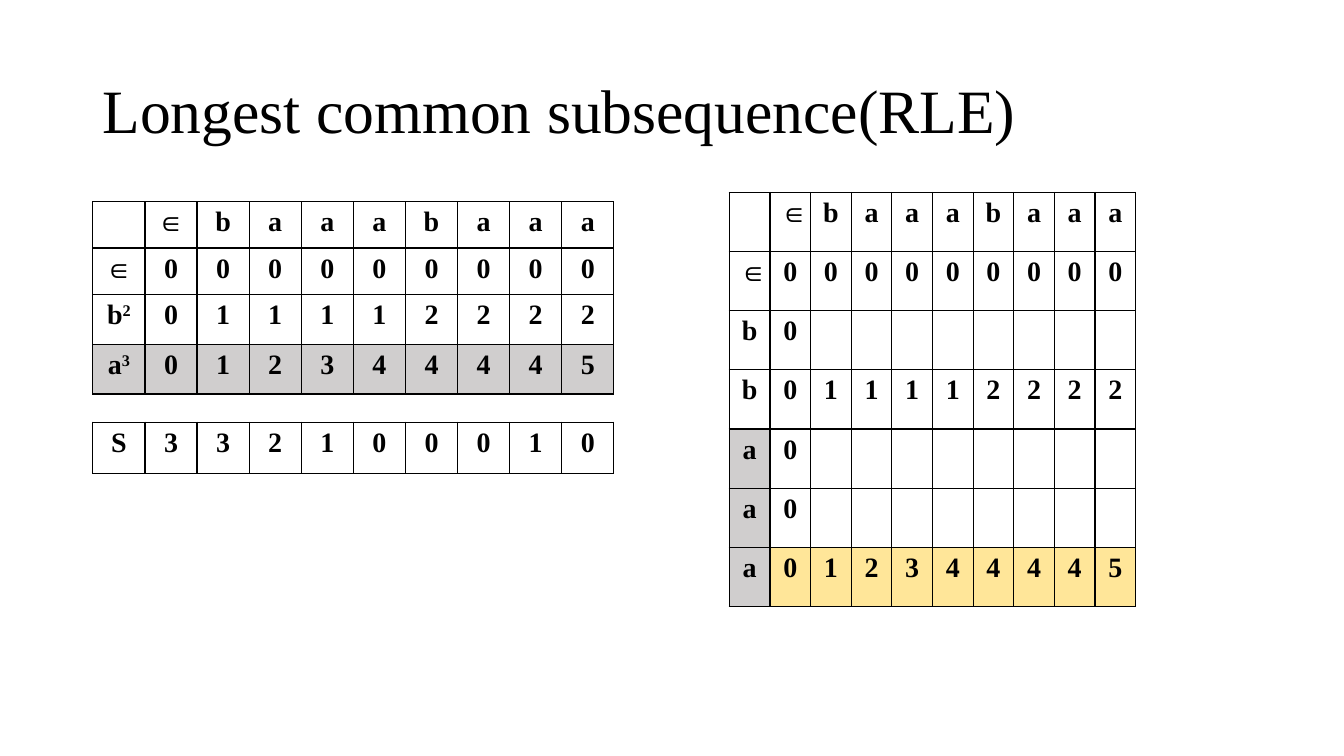
import pptx
import pptx.util
import pptx.dml.color
import pptx.enum.text
import pptx.oxml
import pptx.oxml.ns
from pptx.util import Cm, Pt

# Content: first character of a cell is the base, the rest is superscript
TITLE = "Longest common subsequence(RLE)"
FONT, BLACK, GREY, YELLOW = "Times New Roman", "000000", "D0CECE", "FFE699"
HEADER = " ∈baaabaaa"
ZEROS = "∈000000000"

# Lengths in cm; fills map a row to the colours of its label and of its values
TABLES = [
    dict(left=2.34, top=5.08, column=1.313, heights=[1.17, 1.18, 1.25, 1.25],
         rows=[HEADER, ZEROS, ["b2", *"011112222"], ["a3", *"012344445"]],
         fills={3: (GREY, GREY)}),
    dict(left=2.34, top=10.64, column=1.313, heights=[1.3],
         rows=["S332100010"], fills={}),
    dict(left=18.38, top=4.85, column=1.025, heights=[1.49] * 7,
         rows=[HEADER, ZEROS, "b0        ", "b011112222",
               "a0        ", "a0        ", "a012344445"],
         fills={4: (GREY, None), 5: (GREY, None), 6: (GREY, YELLOW)}),
]


def color(code):
    return pptx.dml.color.RGBColor.from_string(code)


def style(font, size, bold):
    font.name = FONT
    font.size = Pt(size)
    font.bold = bold
    font.color.rgb = color(BLACK)


def add_borders(cell):
    properties = cell._tc.get_or_add_tcPr()
    for side in ("lnL", "lnR", "lnT", "lnB"):
        properties.append(pptx.oxml.parse_xml(
            f'<a:{side} {pptx.oxml.ns.nsdecls("a")} w="12700"><a:solidFill>'
            f'<a:srgbClr val="{BLACK}"/></a:solidFill></a:{side}>'))


def fill_cell(cell, text, fill):
    add_borders(cell)
    if fill:
        cell.fill.solid()
        cell.fill.fore_color.rgb = color(fill)
    else:
        cell.fill.background()
    para = cell.text_frame.paragraphs[0]
    para.alignment = pptx.enum.text.PP_ALIGN.CENTER
    for index, part in enumerate((text[0], text[1:])):
        if part.strip():
            span = para.add_run()
            span.text = part
            style(span.font, 20, True)
            if index == 1:
                span._r.get_or_add_rPr().set("baseline", "30000")


def add_grid(page, left, top, column, heights, rows, fills):
    count = len(rows[0])
    table = page.shapes.add_table(
        len(rows), count, Cm(left), Cm(top),
        Cm(column * count), Cm(sum(heights))).table
    table.first_row = table.horz_banding = False
    for table_column in table.columns:
        table_column.width = Cm(column)
    for r, (values, height) in enumerate(zip(rows, heights)):
        table.rows[r].height = Cm(height)
        label_fill, value_fill = fills.get(r, (None, None))
        for c, text in enumerate(values):
            fill_cell(table.cell(r, c), text, value_fill if c else label_fill)


def main():
    deck = pptx.Presentation()
    deck.slide_width, deck.slide_height = Cm(33.87), Cm(19.05)
    page = deck.slides.add_slide(deck.slide_layouts[5])

    # Title
    title = page.shapes.title
    title.left, title.top = Cm(2.33), Cm(1.01)
    title.width, title.height = Cm(29.21), Cm(3.68)
    title.text_frame.text = TITLE
    title.text_frame.vertical_anchor = pptx.enum.text.MSO_ANCHOR.MIDDLE
    para = title.text_frame.paragraphs[0]
    para.alignment = pptx.enum.text.PP_ALIGN.LEFT
    para.line_spacing = 0.9
    style(para.runs[0].font, 44, False)

    # Tables
    for grid in TABLES:
        add_grid(page, **grid)

    deck.save("out.pptx")


if __name__ == "__main__":
    main()
